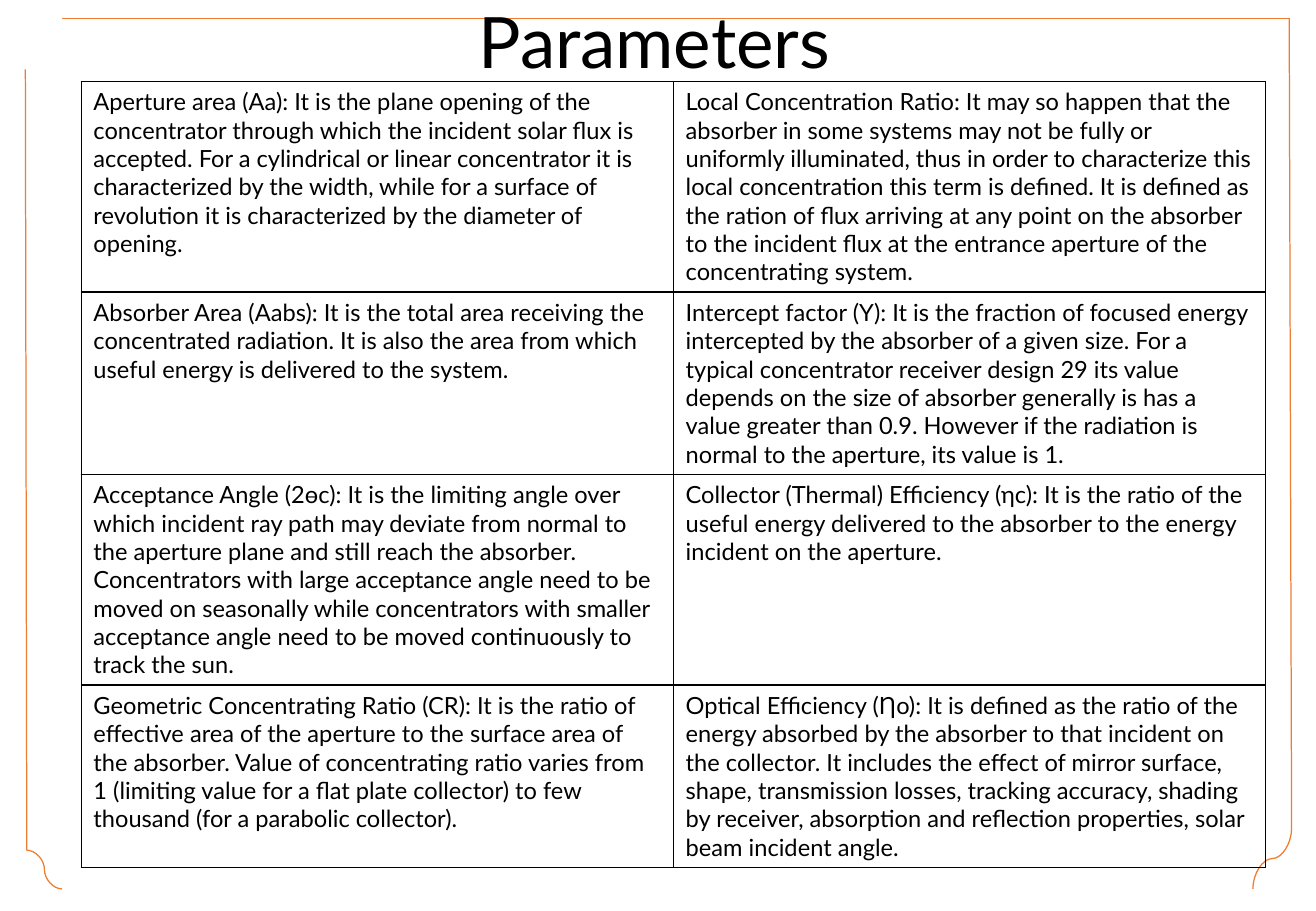
"""Build a slide that lists the parameters of solar concentrators."""
from dataclasses import dataclass

from lxml.etree import SubElement
from pptx import Presentation
from pptx.dml.color import RGBColor
from pptx.enum.shapes import MSO_CONNECTOR
from pptx.enum.text import MSO_ANCHOR, PP_ALIGN
from pptx.oxml.ns import qn
from pptx.slide import Slide
from pptx.table import _Cell
from pptx.text.text import _Paragraph
from pptx.util import Cm, Pt

FONT = "Lato"
BLACK = "000000"
ORANGE = "ED7D31"


@dataclass
class FrameLine:
    """One orange line of the frame, in centimetres."""
    start: tuple[float, float]
    end: tuple[float, float]
    kind: MSO_CONNECTOR = MSO_CONNECTOR.STRAIGHT
    rotation: int = 0


@dataclass
class Parameter:
    """A named parameter and its definition."""
    name: str
    definition: str


FRAME = [
    FrameLine((0.53, 1.45), (0.56, 17.78)),
    FrameLine((26.95, 0.38), (27, 17.32)),
    FrameLine((1.3, 0.38), (26.97, 0.38)),
    FrameLine((0.56, 17.78), (1.3, 18.59), MSO_CONNECTOR.CURVE),
    FrameLine((25.96, 17.55), (27.23, 18.36), MSO_CONNECTOR.CURVE, 90),
]

ROW_HEIGHTS = [4.4, 3.8, 4.4, 3.8]
COLUMN_WIDTH = 12.38

PARAMETERS = [
    [
        Parameter("Aperture area (Aa)",
                  "It is the plane opening of the concentrator through which the incident solar "
                  "flux is accepted. For a cylindrical or linear concentrator it is characterized "
                  "by the width, while for a surface of revolution it is characterized by the "
                  "diameter of opening."),
        Parameter("Local Concentration Ratio",
                  "It may so happen that the absorber in some systems may not be fully or "
                  "uniformly illuminated, thus in order to characterize this local concentration "
                  "this term is defined. It is defined as the ration of flux arriving at any point "
                  "on the absorber to the incident flux at the entrance aperture of the "
                  "concentrating system."),
    ],
    [
        Parameter("Absorber Area (Aabs)",
                  "It is the total area receiving the concentrated radiation. It is also the area "
                  "from which useful energy is delivered to the system."),
        Parameter("Intercept factor (Y)",
                  "It is the fraction of focused energy intercepted by the absorber of a given "
                  "size. For a typical concentrator receiver design 29 its value depends on the "
                  "size of absorber generally is has a value greater than 0.9. However if the "
                  "radiation is normal to the aperture, its value is 1."),
    ],
    [
        Parameter("Acceptance Angle (2ɵc)",
                  "It is the limiting angle over which incident ray path may deviate from normal "
                  "to the aperture plane and still reach the absorber. Concentrators with large "
                  "acceptance angle need to be moved on seasonally while concentrators with "
                  "smaller acceptance angle need to be moved continuously to track the sun."),
        Parameter("Collector (Thermal) Efficiency (ƞc)",
                  "It is the ratio of the useful energy delivered to the absorber to the energy "
                  "incident on the aperture."),
    ],
    [
        Parameter("Geometric Concentrating Ratio (CR)",
                  "It is the ratio of effective area of the aperture to the surface area of the "
                  "absorber. Value of concentrating ratio varies from 1 (limiting value for a flat "
                  "plate collector) to few thousand (for a parabolic collector)."),
        Parameter("Optical Efficiency (Ƞo)",
                  "It is defined as the ratio of the energy absorbed by the absorber to that "
                  "incident on the collector. It includes the effect of mirror surface, shape, "
                  "transmission losses, tracking accuracy, shading by receiver, absorption and "
                  "reflection properties, solar beam incident angle."),
    ],
]


def color(value: str) -> RGBColor:
    return RGBColor.from_string(value)


def add_span(para: _Paragraph, text: str, size: float) -> None:
    span = para.add_run()
    span.text = text
    span.font.name = FONT
    span.font.size = Pt(size)
    span.font.color.rgb = color(BLACK)


def add_frame_line(page: Slide, line: FrameLine) -> None:
    connector = page.shapes.add_connector(
        line.kind, *(Cm(value) for value in line.start + line.end))
    connector.rotation = line.rotation
    connector.line.color.rgb = color(ORANGE)
    connector.line.width = Pt(0.75)
    SubElement(connector._element.spPr, qn("a:effectLst"))


def add_title(page: Slide, text: str) -> None:
    box = page.shapes.add_textbox(Cm(2.54), Cm(0), Cm(22.28), Cm(2.44))
    frame = box.text_frame
    frame.word_wrap = True
    frame.vertical_anchor = MSO_ANCHOR.TOP
    frame.margin_left = frame.margin_right = Cm(0.3)
    frame.margin_top = frame.margin_bottom = Cm(0.15)
    para = frame.paragraphs[0]
    para.alignment = PP_ALIGN.CENTER
    para.line_spacing = 0.9
    add_span(para, text, 42)


def style_cell(cell: _Cell) -> None:
    properties = cell._tc.get_or_add_tcPr()
    for side in ("lnL", "lnR", "lnT", "lnB"):
        border = SubElement(properties, qn(f"a:{side}"), w=str(Pt(1)))
        fill = SubElement(border, qn("a:solidFill"))
        SubElement(fill, qn("a:srgbClr"), val=BLACK)
    cell.fill.background()


def add_parameter_table(page: Slide) -> None:
    columns = len(PARAMETERS[0])
    table = page.shapes.add_table(
        len(PARAMETERS), columns, Cm(1.7), Cm(1.7),
        Cm(COLUMN_WIDTH * columns), Cm(sum(ROW_HEIGHTS))).table
    table.first_row = table.horz_banding = False
    for column in table.columns:
        column.width = Cm(COLUMN_WIDTH)
    for row, height, parameters in zip(table.rows, ROW_HEIGHTS, PARAMETERS):
        row.height = Cm(height)
        for cell, parameter in zip(row.cells, parameters):
            style_cell(cell)
            text = f"{parameter.name}: {parameter.definition}"
            add_span(cell.text_frame.paragraphs[0], text, 14)


def main() -> None:
    deck = Presentation()
    deck.slide_width, deck.slide_height = Cm(27.51), Cm(19.05)
    page = deck.slides.add_slide(deck.slide_layouts[6])
    for line in FRAME:
        add_frame_line(page, line)
    add_title(page, "Parameters")
    add_parameter_table(page)
    deck.save("out.pptx")


if __name__ == "__main__":
    main()
